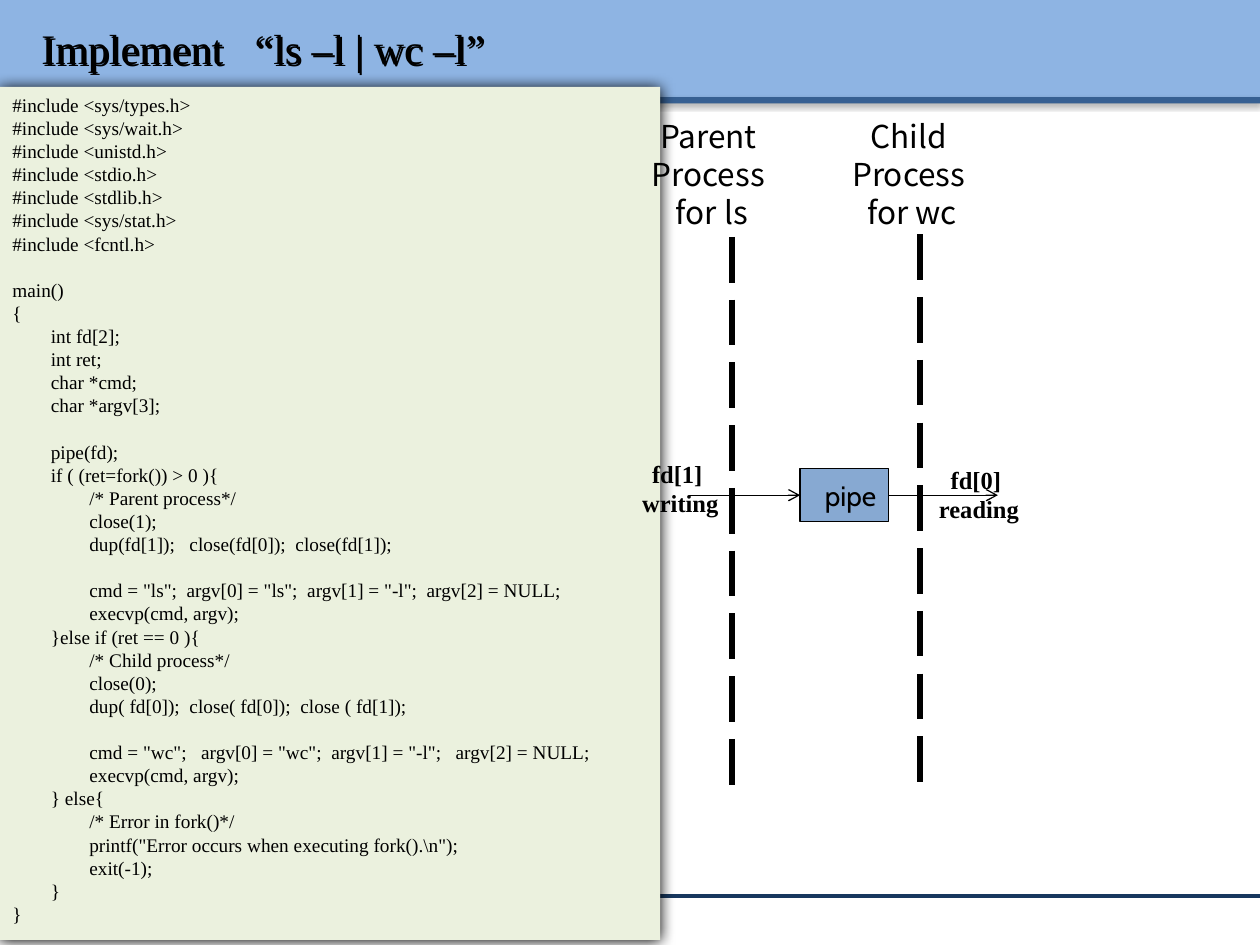
from dataclasses import dataclass

from lxml.etree import SubElement
from pptx import Presentation
from pptx.dml.color import RGBColor as RGB
from pptx.enum.dml import MSO_LINE_DASH_STYLE as DASH
from pptx.enum.shapes import MSO_CONNECTOR, MSO_SHAPE
from pptx.enum.text import MSO_ANCHOR, PP_ALIGN
from pptx.oxml.ns import qn
from pptx.util import Inches, Pt


@dataclass(frozen=True)
class Theme:
    band: RGB = RGB(0x8E, 0xB4, 0xE3)
    stripe: RGB = RGB(0x37, 0x60, 0x92)
    footer: RGB = RGB(0x17, 0x37, 0x5E)
    panel: RGB = RGB(0xEB, 0xF1, 0xDE)
    pipe: RGB = RGB(0x4F, 0x81, 0xBD)
    ink: RGB = RGB(0, 0, 0)
    serif: str = "Times New Roman"
    sans: str = "Noto Sans CJK KR"
    pipe_font: str = "Cabin"
    title_size: float = 24
    heading_size: float = 18
    pipe_size: float = 16
    label_size: float = 14
    code_size: float = 11
    leading: float = 1.2


T = Theme()

# Blocks of the program, set apart by a gap
CODE = (
    r"""#include <sys/types.h>
#include <sys/wait.h>
#include <unistd.h>
#include <stdio.h>
#include <stdlib.h>
#include <sys/stat.h>
#include <fcntl.h>""",
    r"""main()
{
    int fd[2];
    int ret;
    char *cmd;
    char *argv[3];""",
    r"""    pipe(fd);
    if ( (ret=fork()) > 0 ){
        /* Parent process*/
        close(1);
        dup(fd[1]);   close(fd[0]);  close(fd[1]);""",
    r"""        cmd = "ls";  argv[0] = "ls";  argv[1] = "-l";  argv[2] = NULL;
        execvp(cmd, argv);
    }else if (ret == 0 ){
        /* Child process*/
        close(0);
        dup( fd[0]);  close( fd[0]);  close ( fd[1]);""",
    r"""        cmd = "wc";   argv[0] = "wc";  argv[1] = "-l";   argv[2] = NULL;
        execvp(cmd, argv);
    } else{
        /* Error in fork()*/
        printf("Error occurs when executing fork().\n");
        exit(-1);
    }
}""",
)


def add_shadow(sp, alpha, blur, dist, angle=90):
    sp.shadow.inherit = False
    effects = sp._element.spPr.find(qn("a:effectLst"))
    shadow = SubElement(effects, qn("a:outerShdw"), blurRad=str(Pt(blur)),
                        dist=str(Pt(dist)), dir=str(angle * 60000), rotWithShape="0")
    color = SubElement(shadow, qn("a:srgbClr"), val=str(T.ink))
    SubElement(color, qn("a:alpha"), val=str(alpha * 1000))


def add_box(s, x, y, w, h, fill):
    sp = s.shapes.add_shape(MSO_SHAPE.RECTANGLE, Inches(x), Inches(y), Inches(w), Inches(h))
    sp.shadow.inherit = False
    sp.fill.solid()
    sp.fill.fore_color.rgb = fill
    sp.line.fill.background()
    return sp


def add_line(s, x1, y1, x2, y2, width, color=T.ink, dash=None, arrow=False):
    line = s.shapes.add_connector(MSO_CONNECTOR.STRAIGHT, Inches(x1), Inches(y1),
                                  Inches(x2), Inches(y2))
    line.line.color.rgb = color
    line.line.width = Pt(width)
    if dash:
        line.line.dash_style = dash
    if arrow:
        SubElement(line.line._get_or_add_ln(), qn("a:tailEnd"), type="arrow")
    SubElement(line._element.spPr, qn("a:effectLst"))
    return line


def add_run(p, text, size, font, bold=False):
    r = p.add_run()
    r.text = text
    r.font.size, r.font.name, r.font.bold = Pt(size), font, bold
    r.font.color.rgb = T.ink


def add_label(s, x, y, w, h, lines, size, font, bold=False):
    tf = s.shapes.add_textbox(Inches(x), Inches(y), Inches(w), Inches(h)).text_frame
    tf.word_wrap = True
    for i, text in enumerate(lines):
        p = tf.paragraphs[0] if i == 0 else tf.add_paragraph()
        p.alignment = PP_ALIGN.CENTER
        p.line_spacing = Pt(size * T.leading)
        add_run(p, text, size, font, bold)


def add_frame(s, w):
    # Header band, stripe and footer rule
    for y, h, fill in ((0, 0.77, T.band), (0.77, 0.05, T.stripe)):
        add_shadow(add_box(s, 0, y, w, h, fill), 38, 3.1, 1.6)
    add_line(s, 0, 7.11, w, 7.11, 2, T.footer)


def add_title(s, x, y, w, h):
    sp = s.shapes.add_textbox(Inches(x), Inches(y), Inches(w), Inches(h))
    add_shadow(sp, 100, 0, 1.5, 45)
    tf = sp.text_frame
    tf.word_wrap = True
    tf.vertical_anchor = MSO_ANCHOR.MIDDLE
    add_run(tf.paragraphs[0], "Implement   “ls –l | wc –l”", T.title_size, T.serif)


def add_code(s, x, y, w, h):
    sp = add_box(s, x, y, w, h, T.panel)
    add_shadow(sp, 100, 8.5, 1)
    tf = sp.text_frame
    tf.word_wrap = True
    tf.vertical_anchor = MSO_ANCHOR.TOP
    leading = Pt(T.code_size * T.leading)
    p = tf.paragraphs[0]
    for block_no, block in enumerate(CODE):
        for line_no, line in enumerate(block.split("\n")):
            if block_no or line_no:
                p = tf.add_paragraph()
            text = line.lstrip()
            level = (len(line) - len(text)) // 4
            p.alignment = PP_ALIGN.LEFT
            p.line_spacing = leading
            if block_no and line_no == 0:
                p.space_before = leading
            pPr = p._p.get_or_add_pPr()
            pPr.set("marL", str(Pt(22 * level)))
            pPr.set("indent", "0")
            add_run(p, text, T.code_size, T.serif)


def add_diagram(s, x, y):
    # Lifelines and their headings
    lifelines = ((0.75, 1.0, 0, ("Parent ", "Process ", "for ls")),
                 (2.24, 0.98, 1.59, ("Child ", "Process ", "for wc")))
    for dx, top, label_dx, lines in lifelines:
        add_line(s, x + dx, y + top, x + dx, y + 5.39, 3.25, dash=DASH.LONG_DASH)
        add_label(s, x + label_dx, y, 1.18, 1.01, lines, T.heading_size, T.sans)

    # Pipe
    pipe = add_box(s, x + 1.29, y + 2.84, 0.7, 0.42, T.pipe)
    color = pipe.fill._xPr.find(qn("a:solidFill"))[0]
    SubElement(color, qn("a:alpha"), val="68000")
    pipe.line.color.rgb = T.ink
    pipe.line.width = Pt(0.75)
    tf = pipe.text_frame
    tf.word_wrap = False
    tf.margin_left, tf.margin_right = Inches(0.2), Inches(0.1)
    tf.vertical_anchor = MSO_ANCHOR.MIDDLE
    tf.paragraphs[0].alignment = PP_ALIGN.CENTER
    add_run(tf.paragraphs[0], "pipe", T.pipe_size, T.pipe_font)

    # Arrows through the pipe
    mid = y + 3.05
    add_line(s, x + 0.41, mid, x + 1.29, mid, 0.75, arrow=True).end_connect(pipe, 1)
    add_line(s, x + 1.99, mid, x + 2.86, mid, 0.75, arrow=True).begin_connect(pipe, 3)

    # File descriptors
    for dx, dy, lines in ((-0.14, 2.71, ("fd[1] ", "writing")),
                          (2.23, 2.76, ("fd[0] ", "reading"))):
        add_label(s, x + dx, y + dy, 0.96, 0.57, lines, T.label_size, T.serif, True)


def main():
    prs = Presentation()
    prs.slide_width, prs.slide_height = Inches(10), Inches(7.5)
    s = prs.slides.add_slide(prs.slide_layouts[6])
    add_frame(s, 10)
    add_code(s, 0, 0.69, 5.24, 6.77)
    add_title(s, 0.23, 0.06, 9.61, 0.64)
    add_diagram(s, 5.06, 0.88)
    prs.save("out.pptx")


if __name__ == "__main__":
    main()
